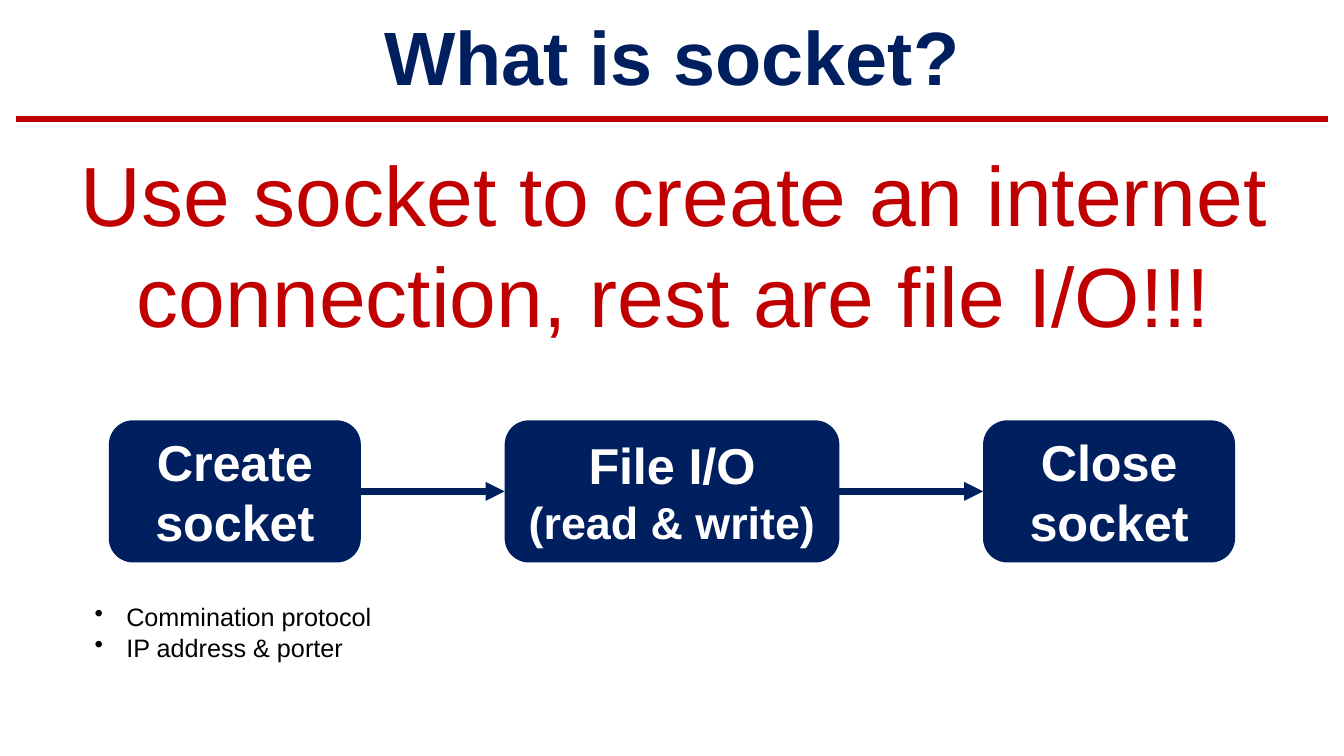
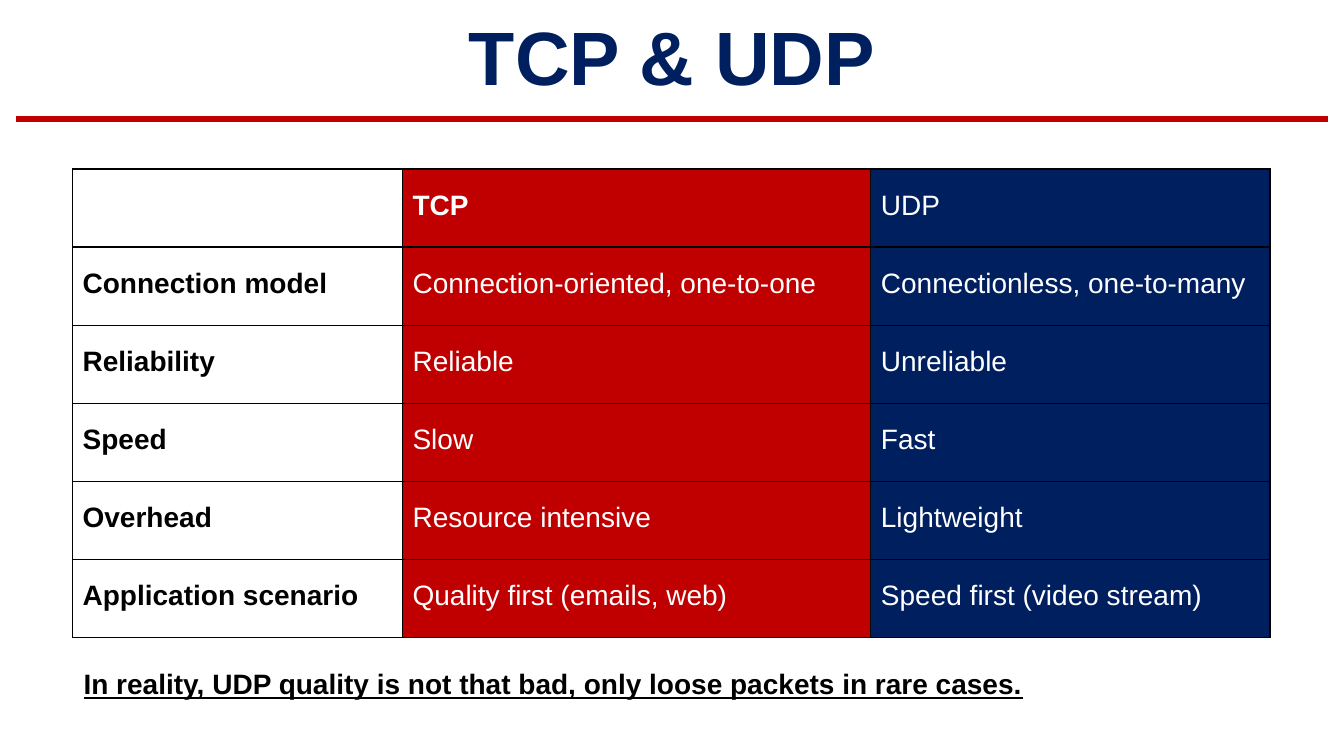
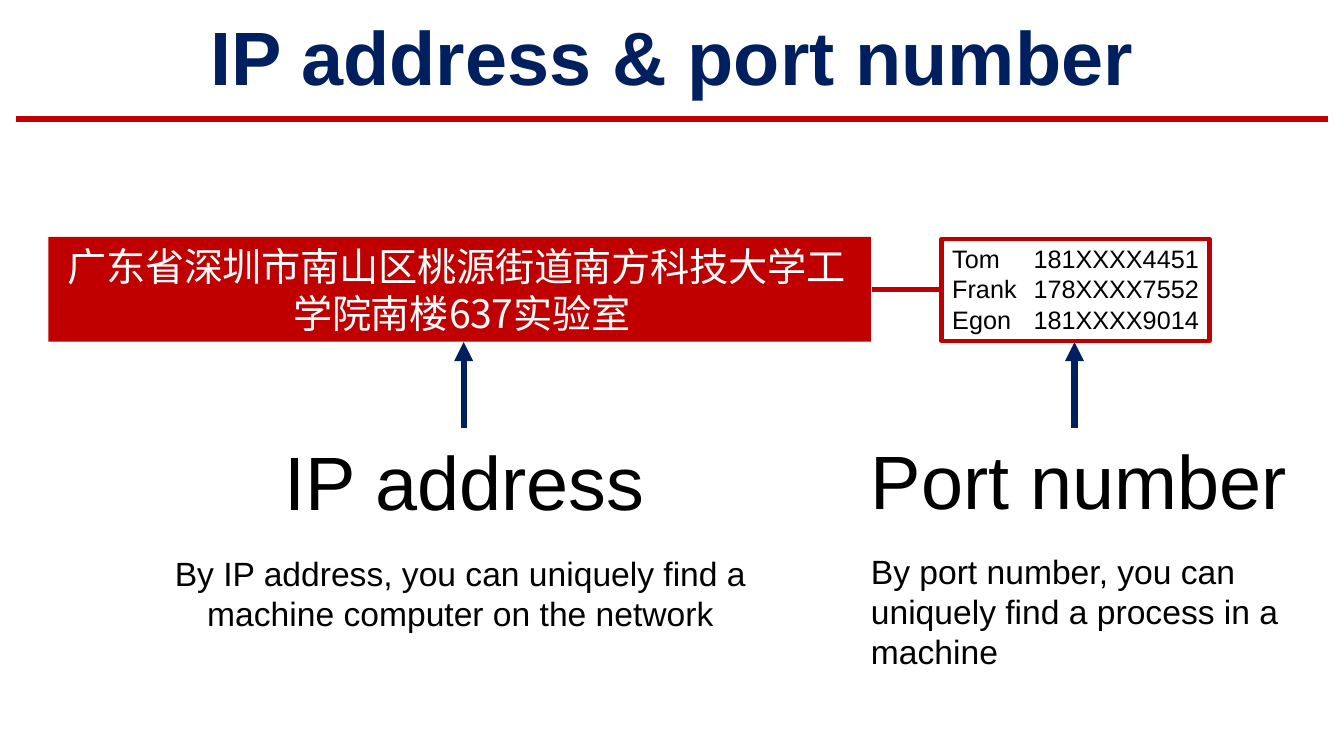
from dataclasses import dataclass

from lxml import etree
from pptx import Presentation
from pptx import util as u
from pptx.dml import color
from pptx.enum import shapes, text
from pptx.oxml import ns

W, H = u.Inches(13.33), u.Inches(7.5)
NAVY, RED, BLACK, WHITE = "001F5F", "C00000", "000000", "FFFFFF"
LEFT, CENTER = text.PP_ALIGN.LEFT, text.PP_ALIGN.CENTER
TOP, MIDDLE = text.MSO_ANCHOR.TOP, text.MSO_ANCHOR.MIDDLE


@dataclass(frozen=True)
class Style:
    size: float
    color: str = BLACK
    bold: bool = False
    underline: bool = False
    font: str = "Arial"
    spacing: float = 0


@dataclass(frozen=True)
class Para:
    text: str
    style: Style
    align: text.PP_ALIGN = CENTER
    before: float = 0
    margin: float = 0
    indent: float = 0
    bullet: str = ""
    leading: float | u.Pt = 1.0


@dataclass(frozen=True)
class Box:
    """A rectangle in percent of the slide's size."""
    left: float
    top: float
    width: float
    height: float

    def emu(self) -> tuple[int, int, int, int]:
        return px(self.left), py(self.top), px(self.width), py(self.height)


@dataclass(frozen=True)
class Step:
    width: float
    paras: tuple[Para, ...]


@dataclass(frozen=True)
class Topic:
    box: Box
    arrow_x: float
    paras: tuple[Para, ...]


TITLE = Style(54, NAVY, bold=True)
HEADLINE = Style(60, RED)
STEP = Style(36, WHITE, bold=True, spacing=-0.1)
STEP_DETAIL = Style(32, WHITE, bold=True)
SMALL = Style(18)
CELL = Style(20, WHITE)
CELL_HEAD = Style(20, WHITE, bold=True)
ROW_LABEL = Style(20, bold=True)
REMARK = Style(20, bold=True, underline=True)
TOPIC = Style(54)
BODY = Style(24)
ADDRESS = Style(28, WHITE, font="Noto Sans CJK SC", spacing=-0.2)


def px(share: float) -> int:
    """Turn a percentage of the slide's width into a length."""
    return round(W * share / 100)


def py(share: float) -> int:
    """Turn a percentage of the slide's height into a length."""
    return round(H * share / 100)


def rgb(value: str) -> color.RGBColor:
    """Turn a hex string into a colour."""
    return color.RGBColor.from_string(value)


def sub(parent, tag: str, **attrs: str):
    """Append a drawing element to its parent."""
    return etree.SubElement(parent, ns.qn(tag), attrs)


def add_run(p, words: str, style: Style) -> None:
    """Add one styled run to a paragraph."""
    r = p.add_run()
    r.text = words
    f = r.font
    f.name, f.size, f.bold = style.font, u.Pt(style.size), style.bold
    f.underline = style.underline
    f.color.rgb = rgb(style.color)
    rpr = r._r.get_or_add_rPr()
    if style.spacing:
        rpr.set("spc", str(round(style.spacing * 100)))
    sub(rpr, "a:ea", typeface=style.font)


def write(tf, paras: tuple[Para, ...], anchor=TOP, inset: tuple[float, float] = (0, 0)) -> None:
    """Fill a text frame with paragraphs."""
    tf.word_wrap = True
    tf.vertical_anchor = anchor
    tf.margin_left, tf.margin_top = px(inset[0]), py(inset[1])
    tf.margin_right = tf.margin_bottom = 0
    for i, para in enumerate(paras):
        p = tf.add_paragraph() if i else tf.paragraphs[0]
        p.alignment, p.line_spacing = para.align, para.leading
        p.space_before = u.Pt(para.before)
        ppr = p._p.get_or_add_pPr()
        ppr.set("marL", str(px(para.margin)))
        ppr.set("indent", str(px(para.indent)))
        if para.bullet:
            sub(ppr, "a:buChar", char=para.bullet)
        add_run(p, para.text, para.style)


def add_text(s, box: Box, *paras: Para) -> None:
    """Add a text box."""
    write(s.shapes.add_textbox(*box.emu()).text_frame, paras)


def add_panel(s, kind, box: Box, paras: tuple[Para, ...], fill: str = "", line: str = "",
              anchor=MIDDLE, inset: tuple[float, float] = (0, 0)):
    """Add a preset shape holding text."""
    sp = s.shapes.add_shape(kind, *box.emu())
    sp.shadow.inherit = False
    if fill:
        sp.fill.solid()
        sp.fill.fore_color.rgb = rgb(fill)
    else:
        sp.fill.background()
    if line:
        sp.line.color.rgb, sp.line.width = rgb(line), u.Pt(3)
    else:
        sp.line.fill.background()
    write(sp.text_frame, paras, anchor, inset)
    return sp


def add_line(s, start: tuple[float, float], end: tuple[float, float], hue: str,
             width: float = 4.5, arrow: bool = False) -> None:
    """Add a straight line, with an arrowhead at its end if asked."""
    cx = s.shapes.add_connector(shapes.MSO_CONNECTOR.STRAIGHT, px(start[0]), py(start[1]),
                                px(end[0]), py(end[1]))
    cx.line.color.rgb, cx.line.width = rgb(hue), u.Pt(width)
    if arrow:
        sub(cx.line._get_or_add_ln(), "a:tailEnd", type="triangle", w="med", len="med")
    sub(cx._element.spPr, "a:effectLst")


def add_slide(prs, title: str):
    """Add a blank slide with the shared title and rule."""
    s = prs.slides.add_slide(prs.slide_layouts[6])
    add_line(s, (1.2, 15.75), (98.8, 15.75), RED)
    add_text(s, Box(0, 1.3, 100, 12.4), Para(title, TITLE))
    return s


def style_cell(cell, words: str, style: Style, fill: str) -> None:
    """Write one table cell with thin black borders."""
    tcpr = cell._tc.get_or_add_tcPr()
    for side in "LRTB":
        ln = sub(tcpr, f"a:ln{side}", w=str(u.Pt(1)))
        sub(sub(ln, "a:solidFill"), "a:srgbClr", val=BLACK)
    if fill:
        cell.fill.solid()
        cell.fill.fore_color.rgb = rgb(fill)
    else:
        cell.fill.background()
    cell.margin_left, cell.margin_top = px(0.75), py(2.75)
    cell.margin_right = cell.margin_bottom = 0
    if words:
        add_run(cell.text_frame.paragraphs[0], words, style)


def socket_slide(prs) -> None:
    """Build the slide on the life of a socket."""
    s = add_slide(prs, "What is socket?")
    add_text(s, Box(4, 18.9, 92.3, 27),
             Para("Use socket to create an internet connection, rest are file I/O!!!", HEADLINE))
    steps = (Step(18.75, (Para("Create socket", STEP),)),
             Step(24.9, (Para("File I/O", STEP), Para("(read & write)", STEP_DETAIL))),
             Step(18.75, (Para("Close socket", STEP),)))
    left, top, height, gap = 8.1, 55.6, 18.8, 10.7
    for i, step in enumerate(steps):
        sp = add_panel(s, shapes.MSO_SHAPE.ROUNDED_RECTANGLE,
                       Box(left, top, step.width, height), step.paras, NAVY)
        sp.adjustments[0] = 0.17
        if i:
            mid = top + height / 2
            add_line(s, (left - gap, mid), (left, mid), NAVY, arrow=True)
        left += step.width + gap
    items = ("Commination protocol", "IP address & porter")
    add_text(s, Box(6.9, 79.6, 24, 8.4),
             *(Para(t, SMALL, LEFT, margin=2.5, indent=-2.35, bullet="•") for t in items))


def protocol_slide(prs) -> None:
    """Build the slide comparing both protocols."""
    s = add_slide(prs, "TCP & UDP")
    rows = (("", "TCP", "UDP"),
            ("Connection model", "Connection-oriented, one-to-one", "Connectionless, one-to-many"),
            ("Reliability", "Reliable", "Unreliable"),
            ("Speed", "Slow", "Fast"),
            ("Overhead", "Resource intensive", "Lightweight"),
            ("Application scenario", "Quality first (emails, web)", "Speed first (video stream)"))
    widths, fills = (24.55, 34.85, 29.7), ("", RED, NAVY)
    box = Box(5.4, 22.35, sum(widths), 62)
    tbl = s.shapes.add_table(len(rows), len(widths), *box.emu()).table
    tbl.first_row = tbl.horz_banding = False
    for col, width in zip(tbl.columns, widths):
        col.width = px(width)
    for i, row in enumerate(rows):
        tbl.rows[i].height = py(box.height / len(rows))
        for j, words in enumerate(row):
            style = ROW_LABEL if j == 0 else CELL_HEAD if (i, j) == (0, 1) else CELL
            style_cell(tbl.cell(i, j), words, style, fills[j])
    add_text(s, Box(6.22, 88.2, 75, 4.8),
             Para("In reality, UDP quality is not that bad, only loose packets in rare cases.",
                  REMARK, LEFT))


def address_slide(prs) -> None:
    """Build the slide on addresses and ports."""
    s = add_slide(prs, "IP address & port number")
    topics = (
        Topic(Box(12, 57.5, 44.5, 27), 34.5, (
            Para("IP address", TOPIC, margin=0.6),
            Para("By IP address, you can uniquely find a machine computer on the network",
                 BODY, before=19.6))),
        Topic(Box(64.8, 57.4, 31.5, 32), 79.95, (
            Para("Port number", TOPIC, LEFT),
            Para("By port number, you can uniquely find a process in a machine",
                 BODY, LEFT, before=18.6))))
    for topic in topics:
        add_text(s, topic.box, *topic.paras)
        add_line(s, (topic.arrow_x, 56.6), (topic.arrow_x, 45.25), NAVY, arrow=True)
    contacts = (("Tom", "181XXXX4451"), ("Frank", "178XXXX7552"), ("Egon", "181XXXX9014"))
    names, numbers = (tuple(Para(t, SMALL, LEFT) for t in column) for column in zip(*contacts))
    card, inset = Box(70.05, 31.6, 19.95, 13.5), (0.8, 0.6)
    add_panel(s, shapes.MSO_SHAPE.RECTANGLE, card, names, line=RED, anchor=TOP, inset=inset)
    add_text(s, Box(card.left + 6.85, card.top + inset[1], 13, card.height - inset[1]), *numbers)
    add_panel(s, shapes.MSO_SHAPE.RECTANGLE, Box(3.6, 31.35, 61.2, 13.85),
              (Para("广东省深圳市南山区桃源街道南方科技大学工学院南楼637实验室", ADDRESS, LEFT,
                    margin=18.22, indent=-16.8, leading=u.Pt(33.6)),),
              fill=RED, anchor=TOP, inset=(0, 0.75))
    add_line(s, (64.88, 38.3), (70.05, 38.3), RED, 3)


def main() -> None:
    """Build the deck and save it."""
    prs = Presentation()
    prs.slide_width, prs.slide_height = W, H
    for build in (socket_slide, protocol_slide, address_slide):
        build(prs)
    prs.save("out.pptx")


if __name__ == "__main__":
    main()
